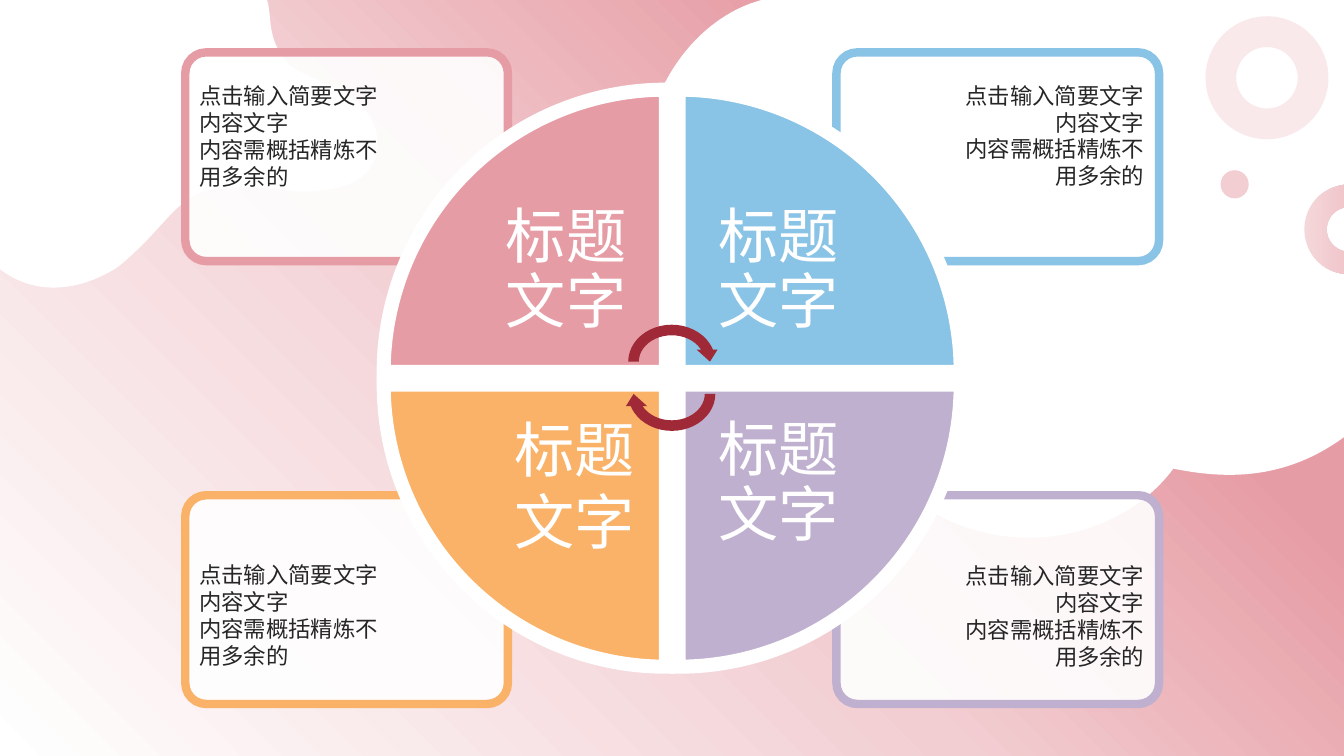
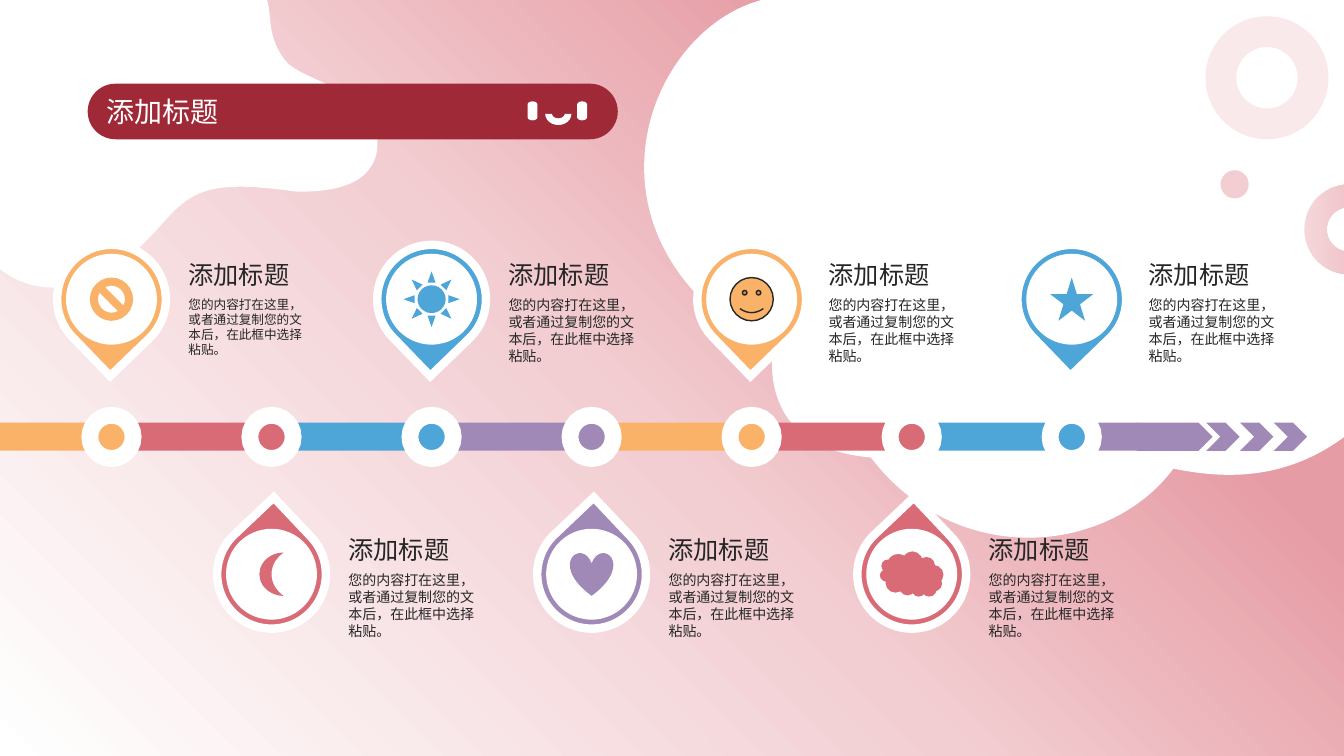
from lxml import etree
from pptx import Presentation
from pptx.dml.color import RGBColor
from pptx.enum.shapes import MSO_SHAPE as SHAPE
from pptx.enum.text import MSO_ANCHOR, PP_ALIGN
from pptx.oxml.ns import qn
from pptx.util import Cm, Pt

TOP, MIDDLE, BOTTOM = MSO_ANCHOR.TOP, MSO_ANCHOR.MIDDLE, MSO_ANCHOR.BOTTOM
LEFT, CENTER, RIGHT = PP_ALIGN.LEFT, PP_ALIGN.CENTER, PP_ALIGN.RIGHT

WHITE = RGBColor(0xFF, 0xFF, 0xFF)
INK = RGBColor(0x26, 0x26, 0x26)
CRIMSON = RGBColor(0x9F, 0x29, 0x36)
ROSE = RGBColor(0xE6, 0x9C, 0xA4)
BLUSH = RGBColor(0xF2, 0xCE, 0xD2)
SKY = RGBColor(0x89, 0xC3, 0xE5)
LILAC = RGBColor(0xBF, 0xB0, 0xCF)
ORANGE = RGBColor(0xF9, 0xB2, 0x68)
RED = RGBColor(0xD9, 0x6B, 0x77)
BLUE = RGBColor(0x4E, 0xA5, 0xD8)
PURPLE = RGBColor(0xA0, 0x88, 0xB7)

FONT = "Noto Sans CJK JP"
MID_X, MID_Y = 16.94, 9.53
CARD_TEXT = "点击输入简要文字内容文字\n内容需概括精炼不用多余的"
STEP_TEXT = "您的内容打在这里，或者通过复制您的文本后，在此框中选择粘贴。"
FIRST_STEP_TEXT = "您的内容打在这里，\v或者通过复制您的文\v本后，在此框中选择\v粘贴。"

RIGHT_CLOUD_BOX = (16.31, -0.1, 17.65, 13.64)
RIGHT_CLOUD = [
    (19.46, 8.84),
    (13.87, 5.87, 16.56, -0.05, 19.91, -0.1),
    (33.96, -0.03),
    (33.96, 10.95),
    (32.33, 12.19, 30.73, 12.04, 29.57, 11.81),
    (27.97, 13.97, 24.13, 14.38, 21.95, 11.53),
    (19.35, 11.3, 19.43, 9.42, 19.46, 8.84),
]
LEFT_CLOUD_BOX = (-0.03, 0, 9.55, 7.24)
LEFT_CLOUD = [
    (-0.03, 0),
    (6.73, 0),
    (6.86, 0.38, 6.71, 0.94, 7.21, 1.55),
    (7.65, 2.08, 9.7, 2.29, 9.5, 3.81),
    (9.32, 4.83, 8, 4.83, 7.47, 4.83),
    (4.29, 4.37, 4.8, 5.23, 2.97, 6.73),
    (1.85, 7.44, 0.76, 7.39, -0.03, 6.76),
    (-0.03, 0),
]


def gradient(fill, owner, angle, stops):
    fill.gradient()
    grad = owner.find(".//" + qn("a:gradFill"))
    grad.find(qn("a:lin")).set("ang", str(angle * 60000))
    gs_list = grad.find(qn("a:gsLst"))
    for gs in list(gs_list):
        gs_list.remove(gs)
    for pos, color, opacity in stops:
        gs = etree.SubElement(gs_list, qn("a:gs"), pos=str(pos * 1000))
        clr = etree.SubElement(gs, qn("a:srgbClr"), val=str(color))
        if opacity < 100:
            etree.SubElement(clr, qn("a:alpha"), val=str(opacity * 1000))


def paint(sp, fill, opacity=100, line=None, width=0):
    sp.shadow.inherit = False
    sp.fill.solid()
    sp.fill.fore_color.rgb = fill
    if opacity < 100:
        clr = sp._element.spPr.find(".//" + qn("a:srgbClr"))
        etree.SubElement(clr, qn("a:alpha"), val=str(opacity * 1000))
    if line is None:
        sp.line.fill.background()
    else:
        sp.line.color.rgb = line
        sp.line.width = Pt(width)
        etree.SubElement(sp._element.spPr.find(qn("a:ln")), qn("a:miter"), lim="800000")


def shape(s, kind, x, y, w, h, fill, adj=(), rotation=0, **style):
    sp = s.shapes.add_shape(kind, Cm(x), Cm(y), Cm(w), Cm(h))
    for i, value in enumerate(adj):
        sp.adjustments[i] = value
    sp.rotation = rotation
    paint(sp, fill, **style)
    return sp


def write(tf, text, size, color, align=LEFT, anchor=TOP, spacing=None):
    tf.text = text
    tf.word_wrap = True
    tf.vertical_anchor = anchor
    for p in tf.paragraphs:
        p.alignment = align
        p.line_spacing = spacing
        for r in p.runs:
            r.font.size = Pt(size)
            r.font.name = FONT
            r.font.color.rgb = color
            etree.SubElement(r._r.get_or_add_rPr(), qn("a:ea"), typeface=FONT)


def textbox(s, x, y, w, h, text, size, color, inset=None, **style):
    tf = s.shapes.add_textbox(Cm(x), Cm(y), Cm(w), Cm(h)).text_frame
    if inset is not None:
        tf.margin_left = tf.margin_right = Cm(inset)
        tf.margin_top = tf.margin_bottom = Cm(inset)
    write(tf, text, size, color, **style)


def cloud(s, box, outline):
    left, top, w, h = box
    builder = s.shapes.build_freeform(Cm(left), Cm(top))
    builder.add_line_segments([(Cm(left + w), Cm(top + h))])
    sp = builder.convert_to_shape()
    path = sp._element.spPr.find(".//" + qn("a:path"))
    for piece in list(path):
        path.remove(piece)
    for i, coords in enumerate(outline):
        tag = "a:moveTo" if i == 0 else "a:lnTo" if len(coords) == 2 else "a:cubicBezTo"
        piece = etree.SubElement(path, qn(tag))
        for x, y in zip(coords[::2], coords[1::2]):
            etree.SubElement(piece, qn("a:pt"), x=str(int(Cm(x - left))), y=str(int(Cm(y - top))))
    etree.SubElement(path, qn("a:close"))
    paint(sp, WHITE)


def add_slide(prs, layout):
    s = prs.slides.add_slide(prs.slide_layouts[layout])
    cloud(s, RIGHT_CLOUD_BOX, RIGHT_CLOUD)
    cloud(s, LEFT_CLOUD_BOX, LEFT_CLOUD)
    shape(s, SHAPE.DONUT, 30.38, 0.41, 3.1, 3.1, BLUSH, [0.25], opacity=43)
    arc = shape(s, SHAPE.BLOCK_ARC, 32.87, 4.65, 2.26, 2.26, BLUSH, [108, 0, 0.25], 270)
    gradient(arc.fill, arc._element.spPr, 90, [(0, BLUSH, 80), (100, ROSE, 80)])
    shape(s, SHAPE.OVAL, 30.76, 4.29, 0.71, 0.71, BLUSH)
    return s


def title_bar(s, text):
    shape(s, SHAPE.ROUNDED_RECTANGLE, 2.21, 2.11, 13.36, 1.4, CRIMSON, [0.5])
    title = s.shapes.title
    title.left, title.top, title.width, title.height = Cm(2.42), Cm(2.11), Cm(10), Cm(1.4)
    write(title.text_frame, text, 20, WHITE, anchor=MIDDLE)
    s.shapes._spTree.append(title._element)
    for x in (13.18, 14.43):
        shape(s, SHAPE.FLOWCHART_TERMINATOR, x, 2.67, 0.48, 0.25, WHITE, rotation=90)
    shape(s, SHAPE.BLOCK_ARC, 13.74, 2.59, 0.66, 0.56, WHITE, [108, 0, 0.3], 180)


def quadrant(col, row, gap_x, gap_y, w, h):
    x = MID_X + gap_x if col else MID_X - gap_x - w
    y = MID_Y + gap_y if row else MID_Y - gap_y - h
    return x, y, w, h


def card(s, col, row, color):
    shape(s, SHAPE.ROUNDED_RECTANGLE, *quadrant(col, row, 4.14, 2.95, 8.13, 5.26),
          color and WHITE, [0.1], opacity=90, line=color, width=6)
    textbox(s, *quadrant(col, row, 6.69, 4.39 if row else 4.51, 5.46, 3.71), CARD_TEXT, 16, INK,
            inset=0.25 if col else 0.23, align=RIGHT if col else LEFT,
            anchor=TOP if row else BOTTOM)


def wedge(s, col, row, color, rotation):
    shape(s, SHAPE.PIE_WEDGE, *quadrant(col, row, 0.16, 0.16, 7.11, 7.11),
          color, rotation=rotation, line=WHITE, width=10)
    style = dict(inset=0.84, align=CENTER, spacing=0.9)
    if row and not col:
        style = dict(inset=0.79, align=RIGHT)
    textbox(s, *quadrant(col, row, 0.16, 0.16, 5.03, 5.03), "标题文字", 43, WHITE,
            anchor=MIDDLE, **style)


def cycle_slide(prs):
    s = add_slide(prs, 6)
    quadrants = [(0, 0, ROSE, 0), (1, 0, SKY, 90), (1, 1, LILAC, 180), (0, 1, ORANGE, 270)]
    for col, row, color, _ in reversed(quadrants):
        card(s, col, row, color)
    for col, row, color, rotation in quadrants:
        wedge(s, col, row, color, rotation)
    for y, rotation in ((8.05, 0), (8.86, 180)):
        shape(s, SHAPE.CIRCULAR_ARROW, 15.7, y, 2.46, 2.13, CRIMSON,
              [0.125, 11.42, 204.58, 108, 0.125], rotation)


def centered(s, kind, x, y, w, h, fill, *args, **style):
    return shape(s, kind, x - w / 2, y - h / 2, w, h, fill, *args, **style)


def pin(s, x, below, color, icon, w, h, text, size):
    y = 14.47 if below else 7.54
    centered(s, SHAPE.TEAR, x, y, 2.74, 2.74, color, [1], 316.6 if below else 136,
             line=WHITE, width=6)
    centered(s, SHAPE.OVAL, x, y, 2.29, 2.29, WHITE)
    sp = centered(s, icon, x, y, w, h, color)
    if icon == SHAPE.SMILEY_FACE:
        paint(sp, color, line=INK, width=1)
    if icon == SHAPE.CLOUD:
        sp._element.spPr.find(qn("a:xfrm")).set("flipV", "1")
    textbox(s, x + 1.69, y - 1.12, 3.89, 1.02, "添加标题", 18, INK)
    textbox(s, x + 1.69, y - 0.19, 3.89, 1.96, text, size, INK)


def timeline_slide(prs):
    s = add_slide(prs, 5)
    colors = [ORANGE, RED, BLUE, PURPLE]
    icons = [
        (SHAPE.NO_SYMBOL, 1.09, 1.09),
        (SHAPE.MOON, 0.61, 1.09),
        (SHAPE.SUN, 1.42, 1.4),
        (SHAPE.HEART, 1.09, 1.09),
        (SHAPE.SMILEY_FACE, 1.09, 1.09),
        (SHAPE.CLOUD, 1.6, 1.14),
        (SHAPE.STAR_5_POINT, 1.09, 1.09),
    ]
    centers = [2.81 + 24.2 * k / 6 for k in range(len(icons))]
    band_y, band_h = 10.65, 0.71
    shape(s, SHAPE.RECTANGLE, centers[-1], band_y, 1.68, band_h, PURPLE)
    shape(s, SHAPE.PENTAGON, 28.65, band_y, 1.91, band_h, PURPLE, [0.5])
    for k in range(3):
        shape(s, SHAPE.CHEVRON, 30.4 + 0.85 * k, band_y, 0.84, band_h, PURPLE, [0.5])
    start = 0
    for k, x in enumerate(centers):
        shape(s, SHAPE.RECTANGLE, start, band_y, x - start, band_h, colors[k % 4])
        start = x
    for k, (x, icon) in enumerate(zip(centers, icons)):
        color = colors[k % 4]
        centered(s, SHAPE.OVAL, x, 11.01, 1.09, 1.09, color, line=WHITE, width=12)
        text, size = (STEP_TEXT, 10) if k else (FIRST_STEP_TEXT, 9)
        pin(s, x, k % 2, color, *icon, text, size)
    title_bar(s, "添加标题")


def main():
    prs = Presentation()
    prs.slide_width, prs.slide_height = Cm(33.87), Cm(19.05)
    master = prs.slide_master
    gradient(master.background.fill, master._element, 135,
             [(0, ROSE, 100), (26, ROSE, 100), (54, BLUSH, 100), (100, WHITE, 100)])
    cycle_slide(prs)
    timeline_slide(prs)
    prs.save("out.pptx")


if __name__ == "__main__":
    main()
